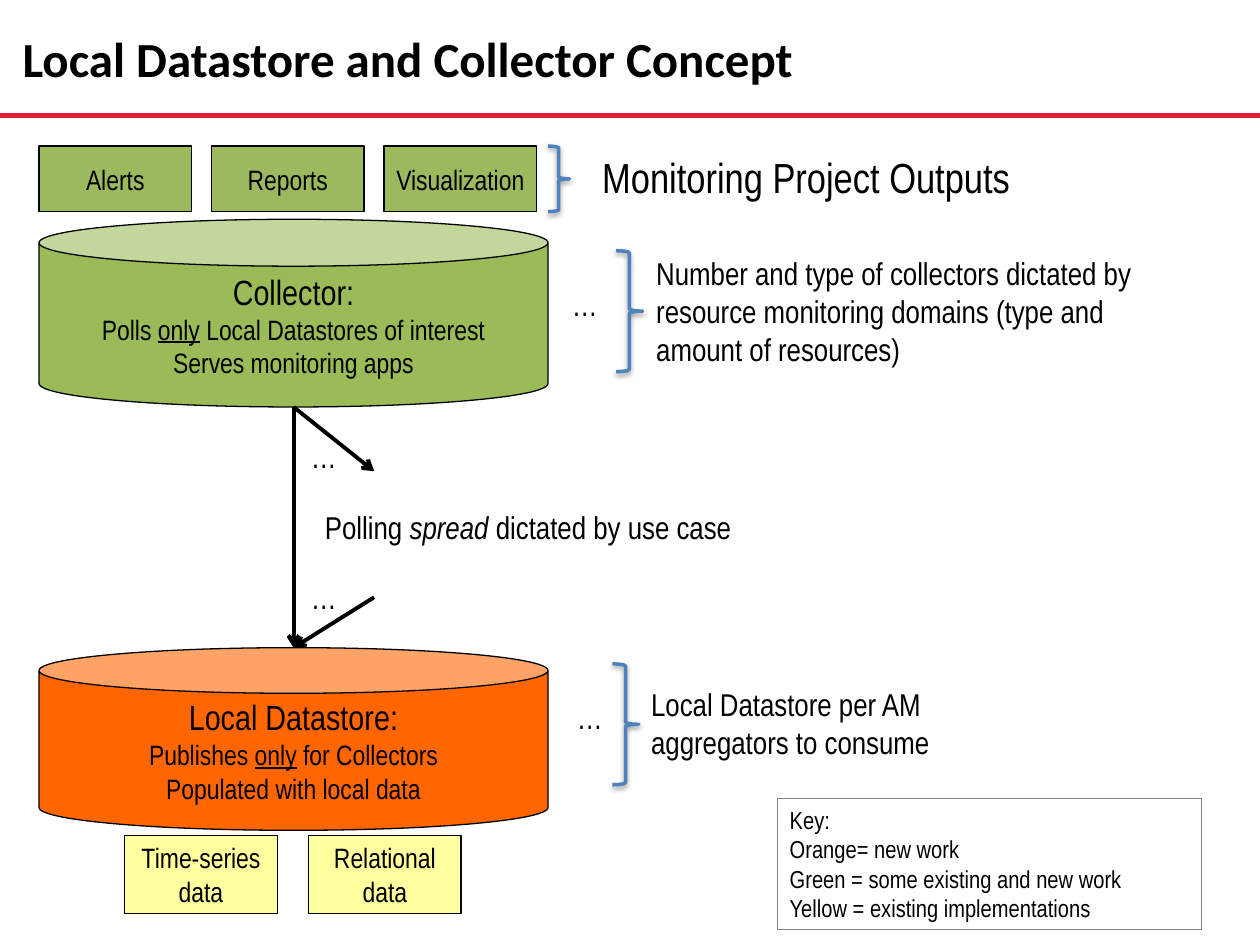
import lxml.etree
import pptx
import pptx.dml.color
import pptx.enum.shapes
import pptx.enum.text
import pptx.oxml.ns
import pptx.util

Pt = pptx.util.Pt
RGBColor = pptx.dml.color.RGBColor
Shape = pptx.enum.shapes.MSO_SHAPE
Align = pptx.enum.text.PP_ALIGN
Anchor = pptx.enum.text.MSO_ANCHOR

BLACK = RGBColor(0x00, 0x00, 0x00)
RED = RGBColor(0xE3, 0x1E, 0x36)
ORANGE = RGBColor(0xFF, 0x66, 0x00)
GREEN = RGBColor(0x9B, 0xBB, 0x59)
OUTPUT_GREEN = RGBColor(0x9C, 0xB9, 0x5D)
YELLOW = RGBColor(0xFF, 0xFE, 0x9E)
BLUE = RGBColor(0x4F, 0x81, 0xBD)
GRAY = RGBColor(0x80, 0x80, 0x80)
BODY_FONT = "Arial Narrow"

# Content: a paragraph is (size, spans); a span is (text, style)
TITLE = [(28, [("Local Datastore and Collector Concept", "bold")])]
COLLECTOR = [
    (20, [("Collector:", "")]),
    (16, [("Polls ", ""), ("only", "underline"), (" Local Datastores of interest", "")]),
    (16, [("Serves monitoring apps", "")]),
]
DATASTORE = [
    (20, [("Local Datastore:", "")]),
    (16, [("Publishes ", ""), ("only", "underline"), (" for Collectors", "")]),
    (16, [("Populated with local data", "")]),
]
POLLING = [(18, [("Polling ", ""), ("spread", "italic"), (" dictated by use case", "")])]
KEY_LINES = ["Key:", "Orange= new work", "Green = some existing and new work",
             "Yellow = existing implementations"]

# Cylinders: paragraphs, colour, top, height
CANS = [(DATASTORE, ORANGE, 370.1, 104.4), (COLLECTOR, GREEN, 125.3, 107.3)]
CAN_LEFT, CAN_WIDTH = 22.3, 290.9

# Rows of boxes: labels, colour, left, top, height, distance between lefts
BOX_ROWS = [
    (["Alerts", "Reports", "Visualization"], OUTPUT_GREEN, 22.3, 83.5, 37.4, 98.6),
    (["Time-series data", "Relational data"], YELLOW, 71.3, 477.4, 44.6, 105.1),
]
BOX_WIDTH = 87.1

# Notes: text, size, (left, top, width, height)
NOTES = [
    ("Monitoring Project Outputs", 24, (337, 82.8, 286.6, 36)),
    ("Number and type of collectors dictated by resource monitoring domains "
     "(type and amount of resources)", 18, (367.9, 141.8, 321.8, 94.3)),
    ("Local Datastore per AM aggregators to consume", 18, (365, 388.1, 233.3, 51.1)),
]
ELLIPSES = [(170.6, 246.2), (170.6, 326.9), (319.7, 159.1), (322.6, 395.3)]
BRACES = [(313.2, 83.5, 12.2, 37.4), (352.1, 143.3, 15.1, 69.1), (349.9, 379.4, 15.1, 69.1)]

# Arrows between the cylinders
HUB_TOP, HUB_BOTTOM = (167.8, 232.6), (167.8, 370.1)
ARROWS = [(HUB_TOP, HUB_BOTTOM), ((213.8, 341.3), HUB_BOTTOM), (HUB_TOP, (213.8, 269.3))]


def add_xml(parent, tag, **attributes):
    return lxml.etree.SubElement(parent, pptx.oxml.ns.qn(tag), attributes)


def plain(size, text):
    return (size, [(text, "")])


def write(box, paragraphs, align=Align.LEFT, font=BODY_FONT):
    frame = box.text_frame
    frame.word_wrap = True
    for index, (size, spans) in enumerate(paragraphs):
        para = frame.add_paragraph() if index else frame.paragraphs[0]
        para.alignment = align
        for text, style in spans:
            span = para.add_run()
            span.text = text
            span.font.name = font
            span.font.size = Pt(size)
            span.font.color.rgb = BLACK
            if style:
                setattr(span.font, style, True)


def add_text(page, place, paragraphs, font=BODY_FONT):
    box = page.shapes.add_textbox(*map(Pt, place))
    write(box, paragraphs, font=font)
    return box


def add_filled(page, kind, place, color, paragraphs):
    shape = page.shapes.add_shape(kind, *map(Pt, place))
    shape.shadow.inherit = False
    shape.fill.solid()
    shape.fill.fore_color.rgb = color
    shape.line.color.rgb = BLACK
    shape.line.width = Pt(0.75)
    shape.text_frame.margin_left = shape.text_frame.margin_right = 0
    shape.text_frame.vertical_anchor = Anchor.MIDDLE
    write(shape, paragraphs, Align.CENTER)


def add_line(page, start, end, color, width, arrow=False):
    line = page.shapes.add_connector(
        pptx.enum.shapes.MSO_CONNECTOR.STRAIGHT, *map(Pt, start + end))
    line.line.color.rgb = color
    line.line.width = Pt(width)
    properties = line._element.spPr
    if arrow:
        add_xml(properties.find(pptx.oxml.ns.qn("a:ln")), "a:tailEnd", type="arrow")
    add_xml(properties, "a:effectLst")


def add_brace(page, place):
    brace = page.shapes.add_shape(Shape.RIGHT_BRACE, *map(Pt, place))
    brace.fill.background()
    brace.line.color.rgb = BLUE
    brace.line.width = Pt(2)
    brace.shadow.inherit = False
    effects = brace._element.spPr.find(pptx.oxml.ns.qn("a:effectLst"))
    shadow = add_xml(effects, "a:outerShdw", blurRad=str(Pt(3.1)), dist=str(Pt(1.6)),
                     dir="5400000", rotWithShape="0")
    shade = add_xml(shadow, "a:srgbClr", val=str(BLACK))
    add_xml(shade, "a:alpha", val="38000")


def main():
    deck = pptx.Presentation()
    deck.slide_width, deck.slide_height = Pt(720), Pt(540)
    page = deck.slides.add_slide(deck.slide_layouts[6])

    # Heading
    add_line(page, (720, 66.2), (0, 66.2), RED, 3)
    title = add_text(page, (5.8, 5.8, 560.2, 54), TITLE, "Calibri")
    title.text_frame.vertical_anchor = Anchor.MIDDLE

    # Cylinders and the arrows between them
    for paragraphs, color, top, height in CANS:
        add_filled(page, Shape.CAN, (CAN_LEFT, top, CAN_WIDTH, height), color, paragraphs)
    for start, end in ARROWS:
        add_line(page, start, end, BLACK, 2.25, arrow=True)

    # Output and data boxes
    for labels, color, left, top, height, pitch in BOX_ROWS:
        for index, label in enumerate(labels):
            place = (left + index * pitch, top, BOX_WIDTH, height)
            add_filled(page, Shape.RECTANGLE, place, color, [plain(16, label)])

    # Notes, ellipses and braces
    add_text(page, (178.6, 286.6, 347.8, 28.8), POLLING)
    for text, size, place in NOTES:
        add_text(page, place, [plain(size, text)])
    for left, top in ELLIPSES:
        add_text(page, (left, top, 27.4, 28.8), [plain(18, "…")])
    for place in BRACES:
        add_brace(page, place)

    # Key
    key = add_text(page, (444.2, 456.5, 242.6, 74.9), [plain(14, text) for text in KEY_LINES])
    key.line.color.rgb = GRAY
    key.line.width = Pt(0.75)

    deck.save("out.pptx")


if __name__ == "__main__":
    main()
